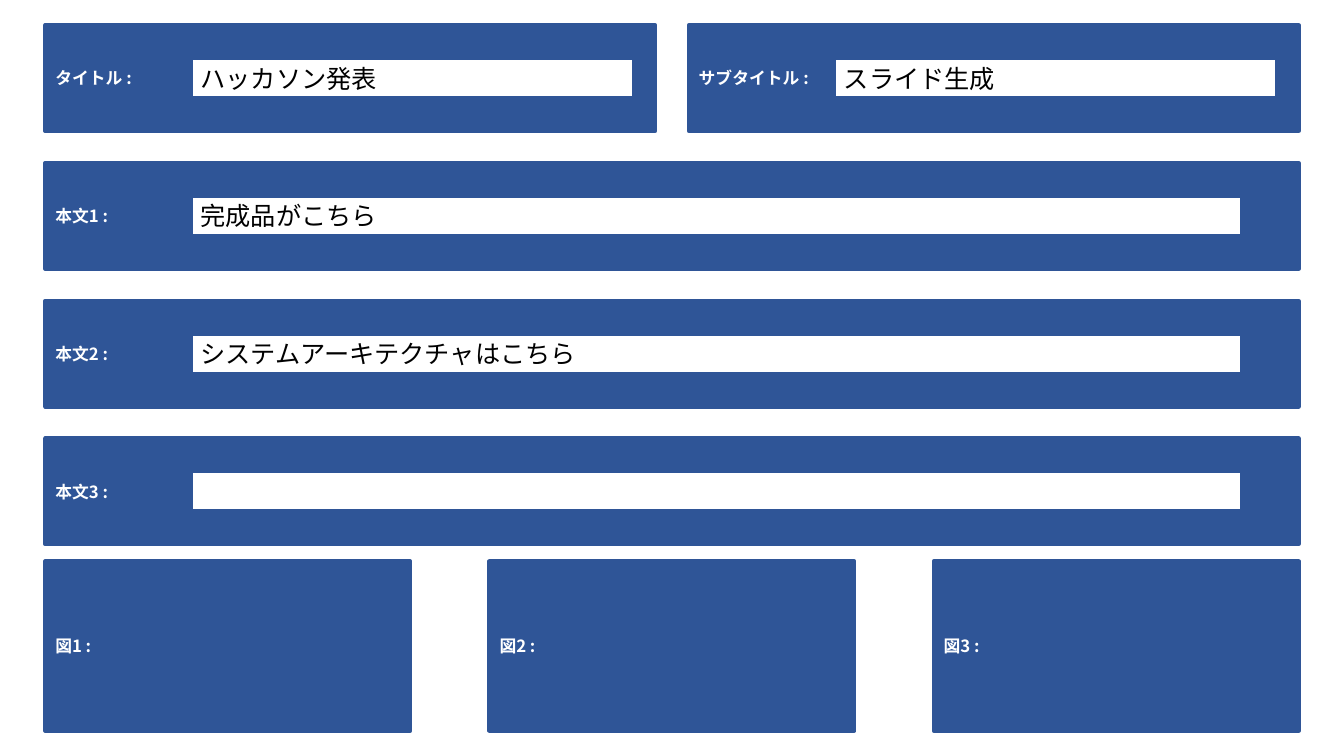
from dataclasses import dataclass, field
from lxml import etree
from pptx import Presentation
from pptx import util as u
from pptx.dml.color import RGBColor
from pptx.enum import shapes, text
from pptx.oxml import ns

Pt = u.Pt


@dataclass(frozen=True)
class Theme:
    blue: RGBColor = RGBColor(0x2F, 0x55, 0x97)
    white: RGBColor = RGBColor(255, 255, 255)
    black: RGBColor = RGBColor(0, 0, 0)
    face: str = "Noto Sans CJK JP"
    label: int = 12
    entry: int = 18
    line: int = 3


@dataclass(frozen=True)
class Box:
    x: float
    y: float
    w: float
    h: float


@dataclass(frozen=True)
class Style:
    fill: RGBColor
    font: dict = field(default_factory=dict)
    ink: RGBColor = RGBColor(0, 0, 0)


@dataclass(frozen=True)
class Panel:
    label: str
    box: Box
    entry: str = ""
    span: float = 0  # width of the entry field, 0 for none


look = Theme()
LABEL = Style(look.blue, {"name": look.face, "size": Pt(look.label), "bold": True}, look.white)
ENTRY = Style(look.white, {"name": look.face, "size": Pt(look.entry), "bold": False}, look.black)

# Grid of the form
LEFT, TOP, WIDE = 32.4, 18, 895.2
ROW, STEP = 75.6, 98.4
HALF = 435.6
FIG_TOP, FIG_W, FIG_H = 401, 260.6, 121
INSET, SLOT = 103.7, 28.8


def draw_box(slide, box: Box, style: Style, words: str) -> None:
    shape = slide.shapes.add_shape(
        shapes.MSO_SHAPE.RECTANGLE, Pt(box.x), Pt(box.y), Pt(box.w), Pt(box.h))
    shape.shadow.inherit = False
    shape.fill.solid()
    shape.fill.fore_color.rgb = style.fill
    shape.line.color.rgb = look.blue
    shape.line.width = Pt(look.line)
    if not words:
        return
    frame = shape.text_frame
    frame.vertical_anchor = text.MSO_ANCHOR.MIDDLE
    para = frame.paragraphs[0]
    para.alignment = text.PP_ALIGN.LEFT
    run = para.add_run()
    run.text = words
    for key, value in style.font.items():
        setattr(run.font, key, value)
    run.font.color.rgb = style.ink
    # Japanese glyphs take the East Asian font
    east = etree.SubElement(run._r.get_or_add_rPr(), ns.qn("a:ea"))
    east.set("typeface", look.face)


def draw_panel(slide, panel: Panel) -> None:
    box = panel.box
    draw_box(slide, box, LABEL, panel.label + " : ")
    if panel.span:
        slot = Box(box.x + INSET, box.y + (box.h - SLOT) / 2, panel.span, SLOT)
        draw_box(slide, slot, ENTRY, panel.entry)


deck = Presentation()
deck.slide_width, deck.slide_height = Pt(960), Pt(540)
slide = deck.slides.add_slide(deck.slide_layouts[6])

# Title and subtitle
heads = [("タイトル", "ハッカソン発表"), ("サブタイトル", "スライド生成")]
panels = [
    Panel(label, Box(LEFT + i * (WIDE - HALF), TOP, HALF, ROW), entry, 316.8)
    for i, (label, entry) in enumerate(heads)]

# Body rows
bodies = ["完成品がこちら", "システムアーキテクチャはこちら", ""]
panels += [
    Panel(f"本文{n}", Box(LEFT, TOP + n * STEP, WIDE, ROW), entry, 751)
    for n, entry in enumerate(bodies, 1)]

# Figure panels
panels += [
    Panel(f"図{i + 1}", Box(LEFT + i * (WIDE - FIG_W) / 2, FIG_TOP, FIG_W, FIG_H))
    for i in range(3)]

for panel in panels:
    draw_panel(slide, panel)

deck.save("out.pptx")
